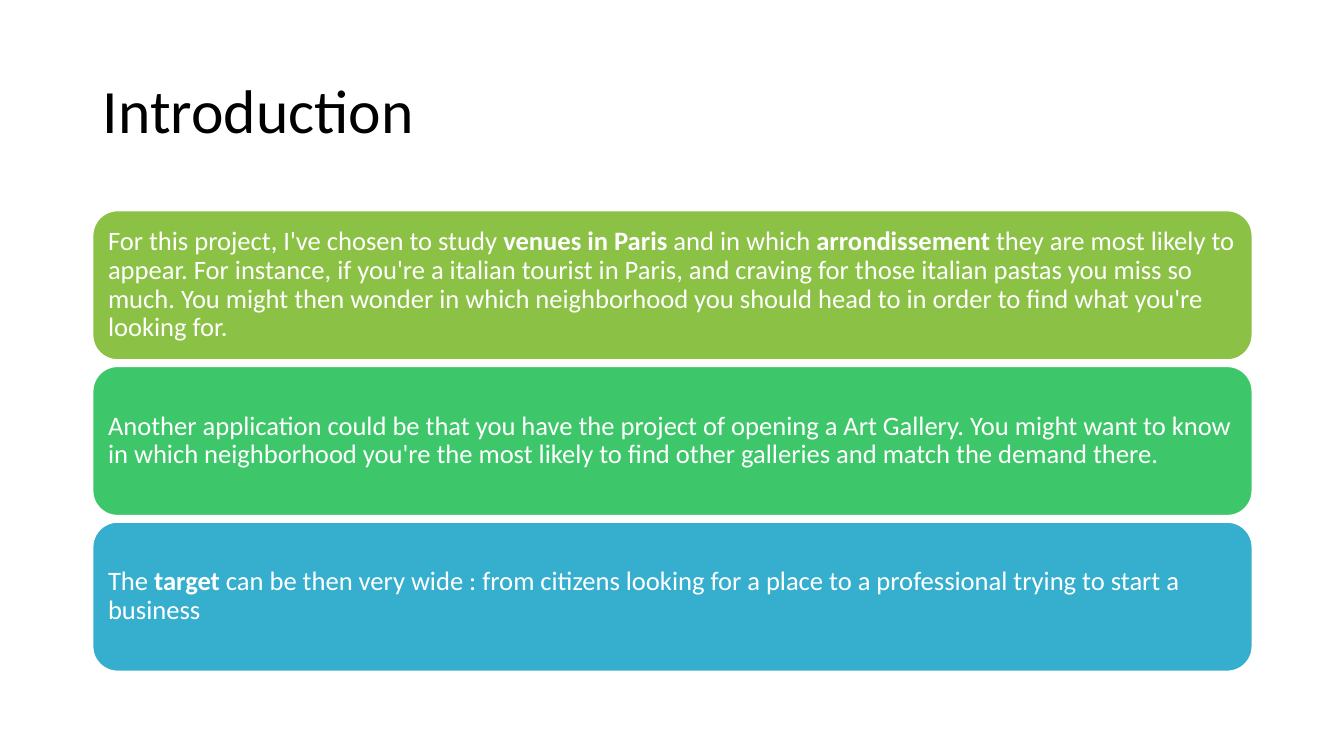
"""Build the introduction slide with its three stacked cards."""
from pptx import Presentation
from pptx.dml.color import RGBColor
from pptx.enum.shapes import MSO_SHAPE
from pptx.enum.text import MSO_ANCHOR, MSO_AUTO_SIZE, PP_ALIGN
from pptx.util import Inches, Pt

BLACK = RGBColor(0x00, 0x00, 0x00)
WHITE = RGBColor(0xFF, 0xFF, 0xFF)
LIME = RGBColor(0x8B, 0xC1, 0x45)
GREEN = RGBColor(0x3E, 0xC7, 0x6A)
BLUE = RGBColor(0x36, 0xAF, 0xCE)

TITLE = "Introduction"
CARDS = [
    (LIME, [
        ("For this project, I've chosen to study ", False),
        ("venues in Paris", True),
        (" and in which ", False),
        ("arrondissement", True),
        (" they are most likely to appear. For instance, if you're a italian "
         "tourist in Paris, and craving for those italian pastas you miss so "
         "much. You might then wonder in which neighborhood you should head "
         "to in order to find what you're looking for.", False),
    ]),
    (GREEN, [
        ("Another application could be that you have the project of opening "
         "a Art Gallery. You might want to know in which neighborhood you're "
         "the most likely to find other galleries and match the demand "
         "there.", False),
    ]),
    (BLUE, [
        ("The ", False),
        ("target", True),
        (" can be then very wide : from citizens looking for a place to a "
         "professional trying to start a business", False),
    ]),
]

LEFT, WIDTH = 0.92, 11.5
TOP, HEIGHT, PITCH = 2.09, 1.48, 1.545
INSET = Inches(0.08)
FRAME = {"word_wrap": True, "auto_size": MSO_AUTO_SIZE.NONE,
         "vertical_anchor": MSO_ANCHOR.MIDDLE}
PAD = {"margin_left": INSET, "margin_right": INSET,
       "margin_top": INSET, "margin_bottom": INSET}
PARA = {"alignment": PP_ALIGN.LEFT, "line_spacing": 0.9}


def apply(item, values):
    """Set each named attribute on the item."""
    for name, value in values.items():
        setattr(item, name, value)


def write(frame, runs, size, color):
    """Fill a text frame with one paragraph of plain and bold runs."""
    apply(frame, FRAME)
    para = frame.paragraphs[0]
    apply(para, PARA)
    for text, bold in runs:
        run = para.add_run()
        run.text = text
        apply(run.font, {"name": "Calibri", "size": Pt(size), "bold": bold})
        run.font.color.rgb = color


def add_card(slide, top, color, runs):
    """Draw one rounded card with its text."""
    card = slide.shapes.add_shape(
        MSO_SHAPE.ROUNDED_RECTANGLE,
        Inches(LEFT), Inches(top), Inches(WIDTH), Inches(HEIGHT))
    card.shadow.inherit = False
    card.fill.solid()
    card.fill.fore_color.rgb = color
    card.line.color.rgb = WHITE
    card.line.width = Pt(1)
    apply(card.text_frame, PAD)
    write(card.text_frame, runs, 19, WHITE)


def main():
    """Build and save the slide."""
    deck = Presentation()
    apply(deck, {"slide_width": Inches(13.33), "slide_height": Inches(7.5)})
    slide = deck.slides.add_slide(deck.slide_layouts[5])
    title = slide.shapes.title
    apply(title, {"left": Inches(LEFT), "top": Inches(0.4),
                  "width": Inches(WIDTH), "height": Inches(1.45)})
    write(title.text_frame, [(TITLE, False)], 44, BLACK)
    for row, (color, runs) in enumerate(CARDS):
        add_card(slide, TOP + row * PITCH, color, runs)
    deck.save("out.pptx")


if __name__ == "__main__":
    main()
